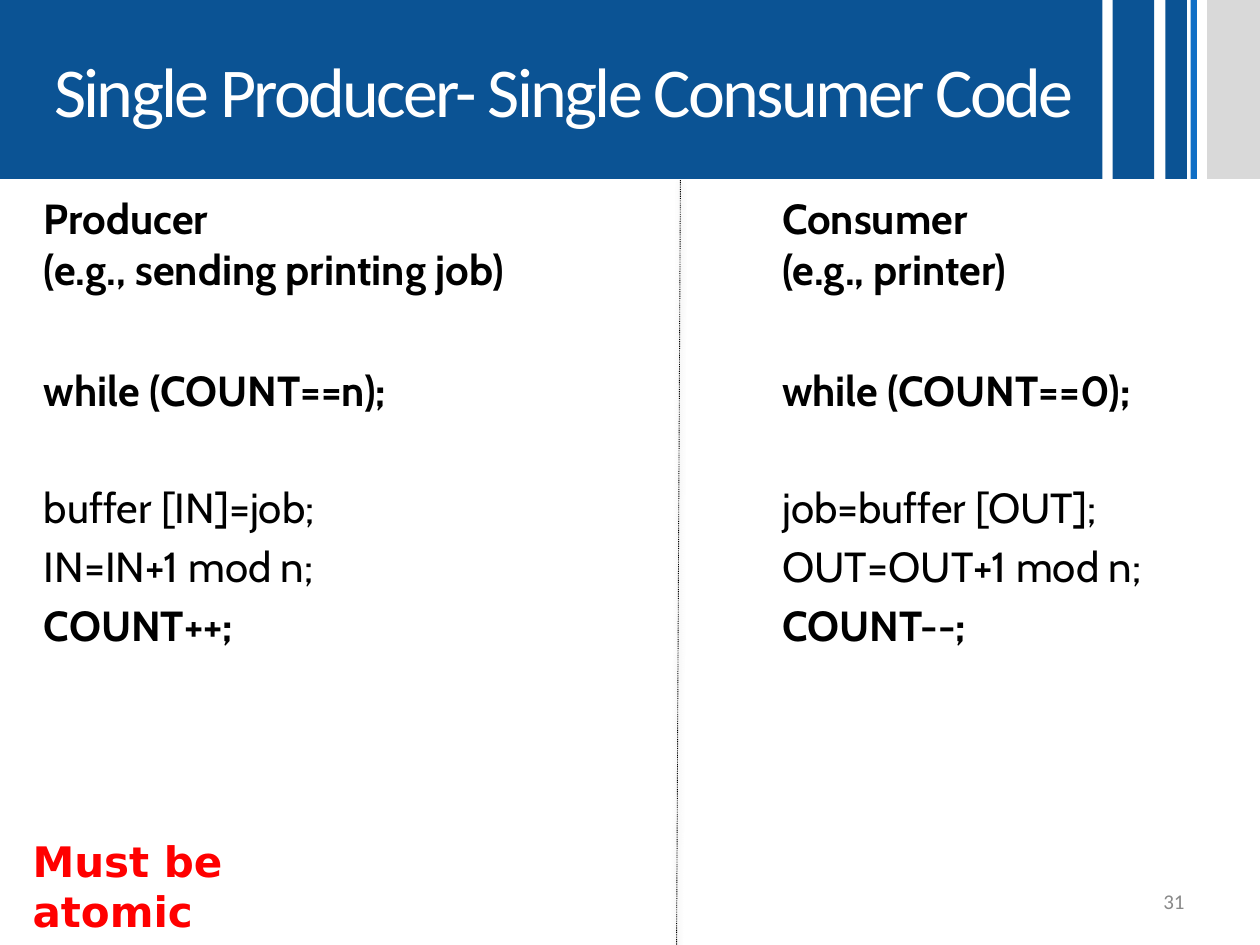
from dataclasses import dataclass
from lxml.etree import SubElement
from pptx import Presentation
from pptx.dml.color import RGBColor
from pptx.enum.dml import MSO_LINE
from pptx.enum.shapes import MSO_CONNECTOR, MSO_SHAPE
from pptx.enum.text import MSO_ANCHOR, MSO_AUTO_SIZE, PP_ALIGN
from pptx.oxml.ns import qn
from pptx.slide import Slide
from pptx.util import Pt

PX = 9144  # 100 px to the inch
COLORS = {"navy": "0B5394", "blue": "0F6FC6", "gray": "D9D9D9", "white": "FFFFFF",
          "black": "000000", "red": "FF0000", "number": "898989"}
BAND_HEIGHT = 142
CODE_GAP = 4.8  # points between code lines
BLANK_LINE = 33.4  # points taken by one skipped line


def color(name):
    return RGBColor.from_string(COLORS[name])


@dataclass
class Painter:
    page: Slide
    code_font: str = "Cabin"
    label_font: str = "Calibri"
    note_font: str = "DejaVu Sans"

    def span(self, para, text, font, size, ink, bold=False):
        span = para.add_run()
        span.text = text
        span.font.name, span.font.size, span.font.bold = font, Pt(size), bold
        span.font.color.rgb = color(ink)
        return span

    def bar(self, left, width, fill):
        bar = self.page.shapes.add_shape(
            MSO_SHAPE.RECTANGLE, left * PX, 0, width * PX, BAND_HEIGHT * PX)
        bar.shadow.inherit = False
        bar.fill.solid()
        bar.fill.fore_color.rgb = color(fill)
        bar.line.fill.background()

    def title(self, text, width):
        title = self.page.shapes.title
        title.left, title.top, title.width, title.height = 0, 0, width * PX, BAND_HEIGHT * PX
        title.fill.solid()
        title.fill.fore_color.rgb = color("navy")
        frame = title.text_frame
        frame.auto_size = MSO_AUTO_SIZE.NONE
        frame.vertical_anchor = MSO_ANCHOR.MIDDLE
        frame.margin_left, frame.margin_right = 30 * PX, 10 * PX
        frame.margin_top = frame.margin_bottom = 5 * PX
        para = frame.paragraphs[0]
        para.alignment = PP_ALIGN.CENTER
        span = self.span(para, text, self.label_font, 40, "white")
        span.font._element.set("spc", "-150")

    def text_box(self, left, top, width, height, anchor=MSO_ANCHOR.TOP):
        box = self.page.shapes.add_textbox(left * PX, top * PX, width * PX, height * PX)
        frame = box.text_frame
        frame.word_wrap = True
        frame.vertical_anchor = anchor
        return frame

    def heading(self, left, lines):
        para = self.text_box(left, 168, 442, 70, MSO_ANCHOR.BOTTOM).paragraphs[0]
        for index, line in enumerate(lines):
            if index:
                para.add_line_break()
            self.span(para, line, self.code_font, 24, "black", True)

    def code(self, left, lines):
        """Lay out a bold wait loop, a gap, plain steps and a bold last step."""
        frame = self.text_box(left, 238, 442, 432)
        frame.margin_top = 5 * PX + Pt(BLANK_LINE)
        for index, line in enumerate(lines):
            para = frame.add_paragraph() if index else frame.paragraphs[0]
            if index:
                para.space_before = Pt(CODE_GAP + (BLANK_LINE if index == 1 else 0))
            self.span(para, line, self.code_font, 24, "black", index in (0, len(lines) - 1))

    def note(self, text):
        frame = self.text_box(16, 658, 308, 50)
        frame.margin_right = 60 * PX
        self.span(frame.paragraphs[0], text, self.note_font, 24, "red", True)

    def page_number(self, text):
        para = self.text_box(717, 695, 233, 40, MSO_ANCHOR.MIDDLE).paragraphs[0]
        para.alignment = PP_ALIGN.RIGHT
        self.span(para, text, self.label_font, 12, "number")

    def divider(self, start, end):
        """Draw a dotted line with a faint shadow below it."""
        divider = self.page.shapes.add_connector(
            MSO_CONNECTOR.STRAIGHT, *(value * PX for value in start + end))
        divider.line.color.rgb = color("black")
        divider.line.width = Pt(0.5)
        divider.line.dash_style = MSO_LINE.ROUND_DOT
        effects = SubElement(divider._element.spPr, qn("a:effectLst"))
        shadow = SubElement(effects, qn("a:outerShdw"), blurRad=str(Pt(3.1)),
                            dist=str(Pt(1.6)), dir="5400000", rotWithShape="0")
        tint = SubElement(shadow, qn("a:srgbClr"), val=COLORS["black"])
        SubElement(tint, qn("a:alpha"), val="38000")


def main():
    deck = Presentation()
    deck.slide_width, deck.slide_height = 1000 * PX, 750 * PX
    painter = Painter(deck.slides.add_slide(deck.slide_layouts[5]))

    for left, width, fill in [(883, 33, "navy"), (925, 17, "navy"),
                              (945, 5, "blue"), (958, 42, "gray")]:
        painter.bar(left, width, fill)
    painter.title("Single Producer- Single Consumer Code", 875)

    columns = [
        (25, ["Producer", "(e.g., sending printing job)"],
         ["while (COUNT==n);", "buffer [IN]=job;", "IN=IN+1 mod n;", "COUNT++;"]),
        (611, ["Consumer", "(e.g., printer)"],
         ["while (COUNT==0);", "job=buffer [OUT];", "OUT=OUT+1 mod n;", "COUNT--;"]),
    ]
    for left, heading, code in columns:
        painter.heading(left, heading)
        painter.code(left, code)

    painter.page_number("31")
    painter.divider((540, 143), (537, 750))
    painter.note("Must be atomic")
    deck.save("out.pptx")


if __name__ == "__main__":
    main()
